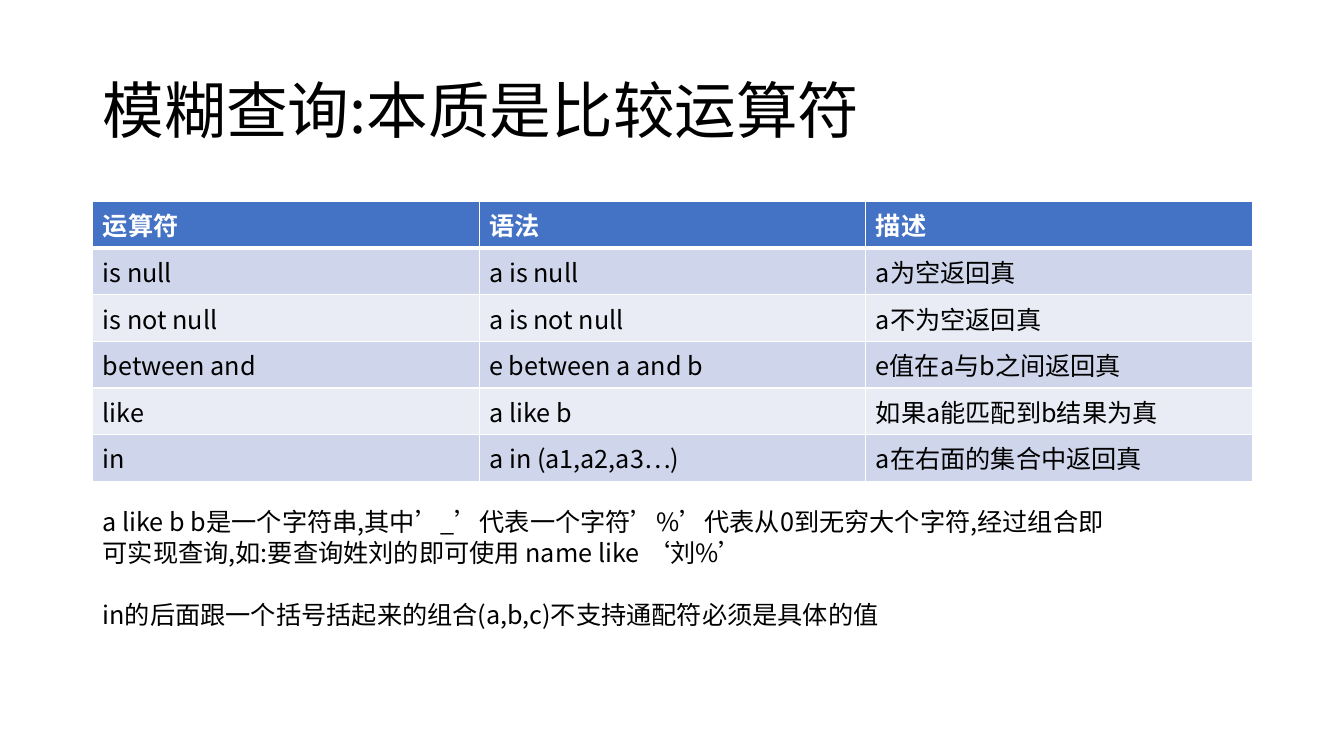
import dataclasses

import lxml.etree
import pptx
import pptx.dml.color
import pptx.enum.text
import pptx.oxml
import pptx.oxml.ns
import pptx.util

Inches = pptx.util.Inches
Pt = pptx.util.Pt
RGBColor = pptx.dml.color.RGBColor

BLACK = RGBColor(0x00, 0x00, 0x00)
WHITE = RGBColor(0xFF, 0xFF, 0xFF)
HEADER_BLUE = RGBColor(0x44, 0x72, 0xC4)
BANDS = (RGBColor(0xCF, 0xD5, 0xEA), RGBColor(0xE9, 0xEB, 0xF5))

FONT = "Noto Sans CJK SC"
LEFT, WIDTH = Inches(0.92), Inches(11.5)
ROW_HEIGHT = Inches(0.41)
THIN, THICK = Pt(1), Pt(3)


@dataclasses.dataclass(frozen=True)
class Operator:
    """One row of the operator table."""
    name: str
    syntax: str
    meaning: str


HEADER = Operator("运算符", "语法", "描述")
OPERATORS = [
    Operator("is null", "a is null", "a为空返回真"),
    Operator("is not null", "a is not null", "a不为空返回真"),
    Operator("between and", "e between a and b", "e值在a与b之间返回真"),
    Operator("like", "a like b", "如果a能匹配到b结果为真"),
    Operator("in", "a in (a1,a2,a3…)", "a在右面的集合中返回真"),
]
NOTES = [
    "a like b b是一个字符串,其中’_’代表一个字符’%’代表从0到无穷大个字符,"
    "经过组合即可实现查询,如:要查询姓刘的即可使用 name like ‘刘%’",
    "in的后面跟一个括号括起来的组合(a,b,c)不支持通配符必须是具体的值",
]


def set_format(obj: object, values: dict) -> None:
    """Set each named attribute of an object."""
    for name, value in values.items():
        setattr(obj, name, value)


def add_text(p, text: str, size: int = 18, color: RGBColor = BLACK,
             bold: bool = False) -> None:
    """Add one run in the slide font, for Latin and Chinese characters."""
    r = p.add_run()
    r.text = text
    set_format(r.font, {"name": FONT, "size": Pt(size), "bold": bold})
    r.font.color.rgb = color
    rPr = r._r.get_or_add_rPr()
    rPr.set("lang", "zh-CN")
    ea = lxml.etree.SubElement(rPr, pptx.oxml.ns.qn("a:ea"))
    ea.set("typeface", FONT)


def set_borders(cell, top: int, bottom: int) -> None:
    """Draw white borders round a cell."""
    tcPr = cell._tc.get_or_add_tcPr()
    sides = {"lnL": THIN, "lnR": THIN, "lnT": top, "lnB": bottom}
    for i, (tag, width) in enumerate(sides.items()):
        tcPr.insert(i, pptx.oxml.parse_xml(
            f'<a:{tag} {pptx.oxml.ns.nsdecls("a")} w="{int(width)}">'
            f'<a:solidFill><a:srgbClr val="{WHITE}"/></a:solidFill></a:{tag}>'))


def add_title(slide, text: str) -> None:
    """Place and fill the title placeholder."""
    sp = slide.shapes.title
    set_format(sp, {"left": LEFT, "top": Inches(0.4),
                    "width": WIDTH, "height": Inches(1.45)})
    tf = sp.text_frame
    set_format(tf, {"vertical_anchor": pptx.enum.text.MSO_ANCHOR.MIDDLE,
                    "auto_size": pptx.enum.text.MSO_AUTO_SIZE.NONE,
                    "word_wrap": True})
    p = tf.paragraphs[0]
    set_format(p, {"alignment": pptx.enum.text.PP_ALIGN.LEFT,
                   "line_spacing": 0.9})
    add_text(p, text, 44)


def add_operator_table(slide) -> None:
    """Add the table with a blue header and banded rows."""
    rows = [dataclasses.astuple(row) for row in [HEADER, *OPERATORS]]
    table = slide.shapes.add_table(len(rows), len(rows[0]), LEFT, Inches(2),
                                   WIDTH, ROW_HEIGHT * len(rows)).table
    for i, row in enumerate(rows):
        header = i == 0
        for j, text in enumerate(row):
            cell = table.cell(i, j)
            cell.fill.solid()
            cell.fill.fore_color.rgb = HEADER_BLUE if header else BANDS[(i - 1) % 2]
            set_borders(cell, THICK if i == 1 else THIN, THICK if header else THIN)
            add_text(cell.text_frame.paragraphs[0], text,
                     color=WHITE if header else BLACK, bold=header)


def add_notes(slide) -> None:
    """Add the explanations below the table."""
    sp = slide.shapes.add_textbox(LEFT, Inches(4.97), Inches(10.26), Inches(1.31))
    tf = sp.text_frame
    tf.word_wrap = True
    for i, text in enumerate(NOTES):
        p = tf.add_paragraph() if i else tf.paragraphs[0]
        set_format(p, {"line_spacing": Pt(22), "space_before": Pt(22 if i else 0)})
        add_text(p, text)


def main() -> None:
    """Build and save the slide."""
    prs = pptx.Presentation()
    set_format(prs, {"slide_width": Inches(13.33), "slide_height": Inches(7.5)})
    slide = prs.slides.add_slide(prs.slide_layouts.get_by_name("Title Only"))
    add_title(slide, "模糊查询:本质是比较运算符")
    add_operator_table(slide)
    add_notes(slide)
    prs.save("out.pptx")


main()
